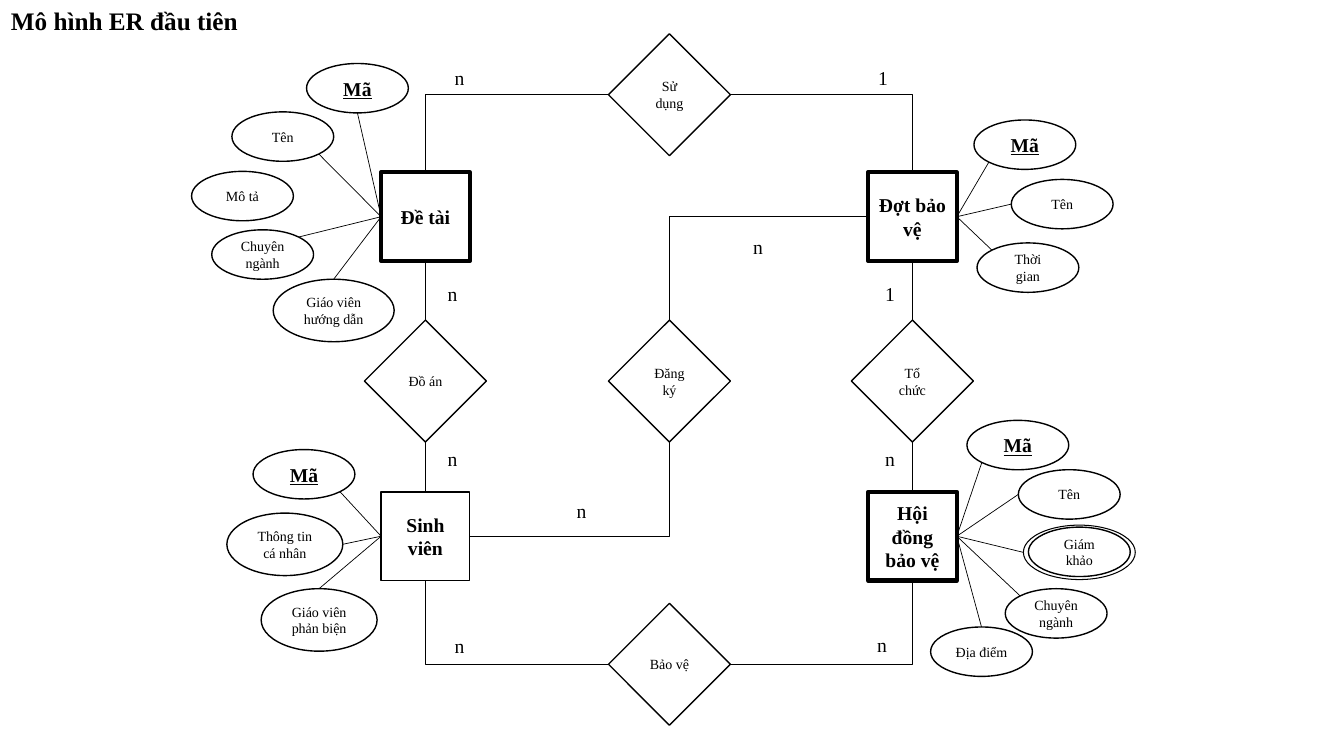
"""Build an entity-relationship diagram slide for thesis management."""
from math import cos, radians, sin

from lxml.etree import SubElement
from pptx import Presentation
from pptx.dml.color import RGBColor
from pptx.enum.shapes import MSO_CONNECTOR as Connector, MSO_SHAPE as Shape
from pptx.enum.text import MSO_ANCHOR as Anchor, PP_ALIGN as Align
from pptx.oxml.ns import qn
from pptx.util import Inches, Pt

FONT, BLACK, WHITE = "Times New Roman", "000000", "FFFFFF"
TITLE = "Mô hình ER đầu tiên"
TOP, LEFT, BOTTOM, RIGHT = range(4)
COLUMNS = (4.22, 6.64, 9.05)
ROWS = (0.94, 2.15, 3.78, 5.32, 6.59)
ENTITY_SIDE, DIAMOND_SIDE = 0.88, 1.21
OVAL, WIDE, WIDER, RING = (1.01, 0.49), (1.15, 0.62), (1.2, 0.62), (1.11, 0.54)

# name: column, row, outline width
ENTITIES = {
    "Đề tài": (0, 1, 3),
    "Đợt bảo vệ": (2, 1, 3),
    "Sinh viên": (0, 3, 1),
    "Hội đồng bảo vệ": (2, 3, 3),
}
RELATIONSHIPS = {
    "Sử dụng": (1, 0),
    "Đồ án": (0, 2),
    "Đăng ký": (1, 2),
    "Tổ chức": (2, 2),
    "Bảo vệ": (1, 4),
}
LINKS = [
    ("Đồ án", TOP, "Đề tài", BOTTOM, 0.5),
    ("Đồ án", BOTTOM, "Sinh viên", TOP, 0.5),
    ("Tổ chức", TOP, "Đợt bảo vệ", BOTTOM, 1),
    ("Tổ chức", BOTTOM, "Hội đồng bảo vệ", TOP, 1),
]
ELBOWS = [
    ("Sử dụng", LEFT, "Đề tài", TOP, 0.5),
    ("Sử dụng", RIGHT, "Đợt bảo vệ", TOP, 0.5),
    ("Đợt bảo vệ", LEFT, "Đăng ký", TOP, 0.5),
    ("Sinh viên", RIGHT, "Đăng ký", BOTTOM, 0.5),
    ("Bảo vệ", LEFT, "Sinh viên", BOTTOM, 0.5),
    ("Bảo vệ", RIGHT, "Hội đồng bảo vệ", BOTTOM, 0.5),
]
ATTRIBUTES = {
    ("Đề tài", LEFT): [
        ("Mã", 3.04, 0.63, OVAL, 90),
        ("Tên", 2.3, 1.11, OVAL, 45),
        ("Mô tả", 1.9, 1.7, OVAL, None),
        ("Chuyên ngành", 2.1, 2.28, OVAL, 315),
        ("Giáo viên hướng dẫn", 2.71, 2.77, WIDER, 270),
    ],
    ("Sinh viên", LEFT): [
        ("Mã", 2.51, 4.46, OVAL, 45),
        ("Thông tin cá nhân", 2.25, 5.09, WIDE, 0),
        ("Giáo viên phản biện", 2.59, 5.84, WIDE, 270),
    ],
    ("Đợt bảo vệ", RIGHT): [
        ("Mã", 9.66, 1.19, OVAL, 135),
        ("Tên", 10.03, 1.78, OVAL, 180),
        ("Thời gian", 9.69, 2.41, OVAL, 225),
    ],
    ("Hội đồng bảo vệ", RIGHT): [
        ("Mã", 9.59, 4.17, OVAL, 135),
        ("Tên", 10.1, 4.66, OVAL, 180),
        ("", 10.15, 5.21, RING, 180),
        ("Giám khảo", 10.2, 5.23, OVAL, None),
        ("Địa điểm", 9.23, 6.22, OVAL, 270),
        ("Chuyên ngành", 9.97, 5.84, OVAL, 225),
    ],
}
CARDINALITIES = [
    ("n", 4.41, 0.6), ("1", 8.61, 0.6), ("n", 7.37, 2.28),
    ("n", 4.34, 2.75), ("1", 8.68, 2.75),
    ("n", 4.34, 4.38), ("n", 8.68, 4.38), ("n", 5.62, 4.9),
    ("n", 4.41, 6.24), ("n", 8.6, 6.23),
]


def color(value):
    return RGBColor.from_string(value)


def write(frame, text, size=10, bold=False, underline=None, align=None, wrap=True):
    frame.word_wrap = wrap
    paragraph = frame.paragraphs[0]
    paragraph.alignment = align
    run = paragraph.add_run()
    run.text = text
    font = run.font
    font.name, font.size = FONT, Pt(size)
    font.bold, font.underline = bold, underline
    font.color.rgb = color(BLACK)


def add_node(kind, left, top, width, height, text, line=1, **style):
    shape = slide.shapes.add_shape(kind, *map(Inches, (left, top, width, height)))
    shape.shadow.inherit = False
    shape.line.color.rgb = color(BLACK)
    shape.line.width = Pt(line)
    if text:
        shape.fill.solid()
        shape.fill.fore_color.rgb = color(WHITE)
        shape.text_frame.vertical_anchor = Anchor.MIDDLE
        write(shape.text_frame, text, align=Align.CENTER, **style)
    else:
        shape.fill.background()
    return shape


def add_centered(kind, column, row, side, text, **style):
    left, top = COLUMNS[column] - side / 2, ROWS[row] - side / 2
    return add_node(kind, left, top, side, side, text, **style)


def add_line(start, side, kind=Connector.STRAIGHT, end=(0, 0), width=0.5):
    connector = slide.shapes.add_connector(kind, 0, 0, *map(Inches, end))
    connector.begin_connect(start, side)
    connector.line.color.rgb = color(BLACK)
    connector.line.width = Pt(width)
    SubElement(connector.element.spPr, qn("a:effectLst"))
    return connector


def add_text(text, left, top, width, height, **style):
    box = slide.shapes.add_textbox(*map(Inches, (left, top, width, height)))
    write(box.text_frame, text, **style)


presentation = Presentation()
presentation.slide_width, presentation.slide_height = Inches(13.33), Inches(7.5)
slide = presentation.slides.add_slide(presentation.slide_layouts[6])

nodes = {}
for name, (column, row, line) in ENTITIES.items():
    nodes[name] = add_centered(Shape.RECTANGLE, column, row, ENTITY_SIDE, name,
                               line=line, size=14, bold=True)
for name, (column, row) in RELATIONSHIPS.items():
    nodes[name] = add_centered(Shape.DIAMOND, column, row, DIAMOND_SIDE, name)

for kind, links in ((Connector.STRAIGHT, LINKS), (Connector.ELBOW, ELBOWS)):
    for start, start_side, end, end_side, width in links:
        connector = add_line(nodes[start], start_side, kind, width=width)
        connector.end_connect(nodes[end], end_side)
        if kind == Connector.ELBOW:
            connector.element.spPr.find(qn("a:prstGeom")).set("prst", "bentConnector2")

for (entity, side), attributes in ATTRIBUTES.items():
    for name, left, top, (width, height), angle in attributes:
        if angle is not None:
            end = (left + width / 2 * (1 + cos(radians(angle))),
                   top + height / 2 * (1 + sin(radians(angle))))
            add_line(nodes[entity], side, end=end)
        style = dict(size=14, bold=True, underline=True) if name == "Mã" else {}
        add_node(Shape.OVAL, left, top, width, height, name,
                 line=1 if name else 0.75, **style)

add_text(TITLE, 0.01, 0, 2.47, 0.4, size=18, bold=True, wrap=False)
for text, left, top in CARDINALITIES:
    add_text(text, left, top, 0.25, 0.34, size=14)

presentation.save("out.pptx")
